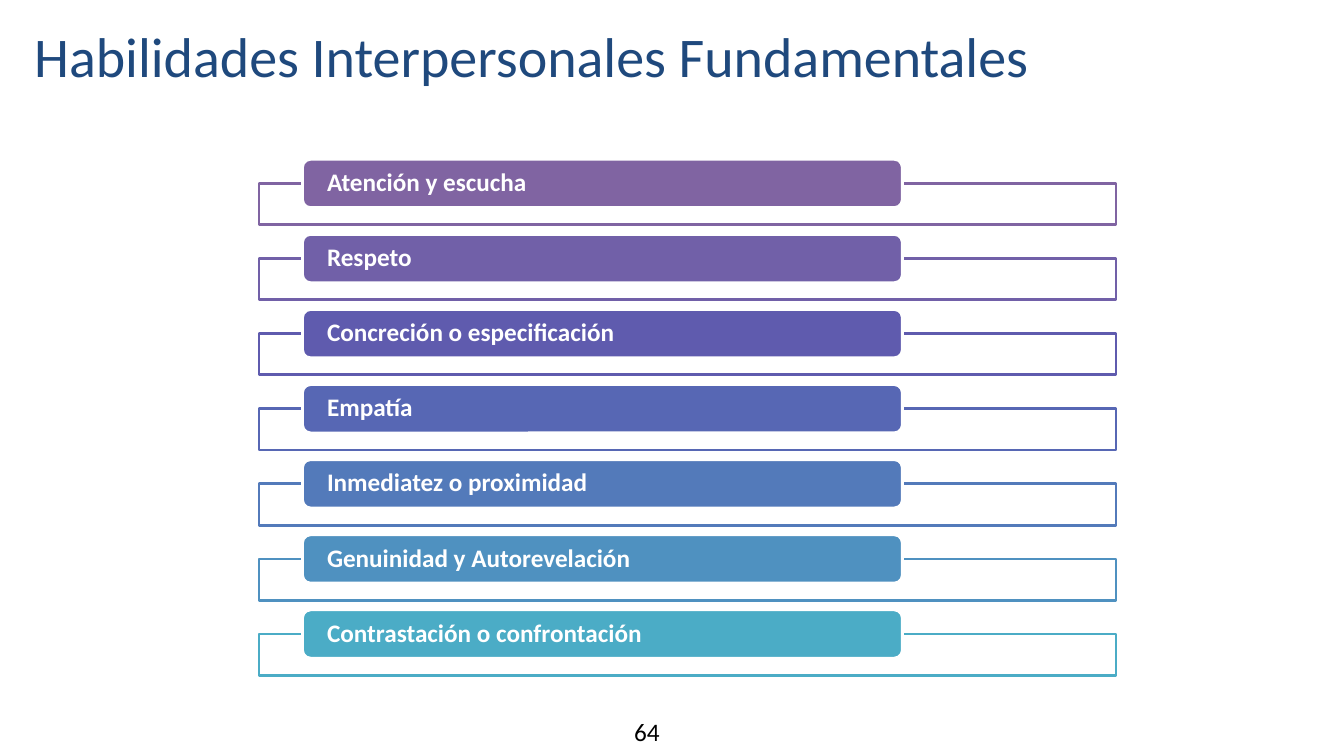
from lxml import etree
from pptx import Presentation
from pptx.dml.color import RGBColor
from pptx.enum import shapes, text
from pptx.oxml import ns
from pptx.util import Inches, Pt

SKILLS = [
    ("Atención y escucha", "8064A2"),
    ("Respeto", "7160A8"),
    ("Concreción o especificación", "5F5BAE"),
    ("Empatía", "5767B4"),
    ("Inmediatez o proximidad", "537ABA"),
    ("Genuinidad y Autorevelación", "4F91C0"),
    ("Contrastación o confrontación", "4BACC6"),
]
FIRST, LAST = 1.58, 6.05


def color(code):
    """Turn a hex string into a colour."""
    return RGBColor.from_string(code)


def write(frame, words, size, code, bold=False):
    """Write one paragraph into a frame and return it."""
    par = frame.paragraphs[0]
    par.text = words
    par.font.name = "Calibri"
    par.font.size = Pt(size)
    par.font.bold = bold
    par.font.color.rgb = color(code)
    return par


def margins(frame, side):
    """Set the side margins and clear the top and bottom ones."""
    frame.margin_left = frame.margin_right = Inches(side)
    frame.margin_top = frame.margin_bottom = 0


def block(slide, kind, at, fill, line):
    """Add a filled and outlined shape without shadow."""
    shape = slide.shapes.add_shape(kind, *map(Inches, at))
    shape.shadow.inherit = False
    shape.fill.solid()
    shape.fill.fore_color.rgb = color(fill)
    shape.line.color.rgb = color(line)
    shape.line.width = Pt(2)
    return shape


def fade(shape, share):
    """Give the fill of a shape an opacity in percent."""
    tone = shape.fill._xPr.find(ns.qn("a:solidFill"))[0]
    etree.SubElement(tone, ns.qn("a:alpha"), val=str(share * 1000))


def skill(slide, top, words, code):
    """Add an outlined frame with its labelled bar."""
    kinds = shapes.MSO_SHAPE
    frame = block(slide, kinds.RECTANGLE, (2.57, top + 0.24, 8.5, 0.41), "FFFFFF", code)
    fade(frame, 90)
    bar = block(slide, kinds.ROUNDED_RECTANGLE, (3, top, 5.95, 0.48), code, "FFFFFF")
    body = bar.text_frame
    body.word_wrap = True
    body.vertical_anchor = text.MSO_ANCHOR.MIDDLE
    margins(body, 0.22)
    par = write(body, words, 18, "FFFFFF", True)
    par.alignment = text.PP_ALIGN.LEFT
    par.line_spacing = 0.9


def title(slide, words):
    """Add the slide heading."""
    box = slide.shapes.add_textbox(*map(Inches, (-1.29, 0.21, 13.12, 0.67)))
    box.text_frame.word_wrap = True
    margins(box.text_frame, 0)
    write(box.text_frame, words, 40, "1F497D").alignment = text.PP_ALIGN.CENTER


def number(slide, words):
    """Add the page number."""
    box = slide.shapes.add_textbox(*map(Inches, (6.19, 7.06, 0.64, 0.4)))
    box.text_frame.word_wrap = True
    write(box.text_frame, words, 18, "000000")


def main():
    """Build and save the slide."""
    deck = Presentation()
    deck.slide_width, deck.slide_height = Inches(13.33), Inches(7.5)
    slide = deck.slides.add_slide(deck.slide_layouts[6])
    number(slide, "64")
    title(slide, "Habilidades Interpersonales Fundamentales")
    step = (LAST - FIRST) / (len(SKILLS) - 1)
    for row, (words, code) in enumerate(SKILLS):
        skill(slide, FIRST + row * step, words, code)
    deck.save("out.pptx")


if __name__ == "__main__":
    main()
